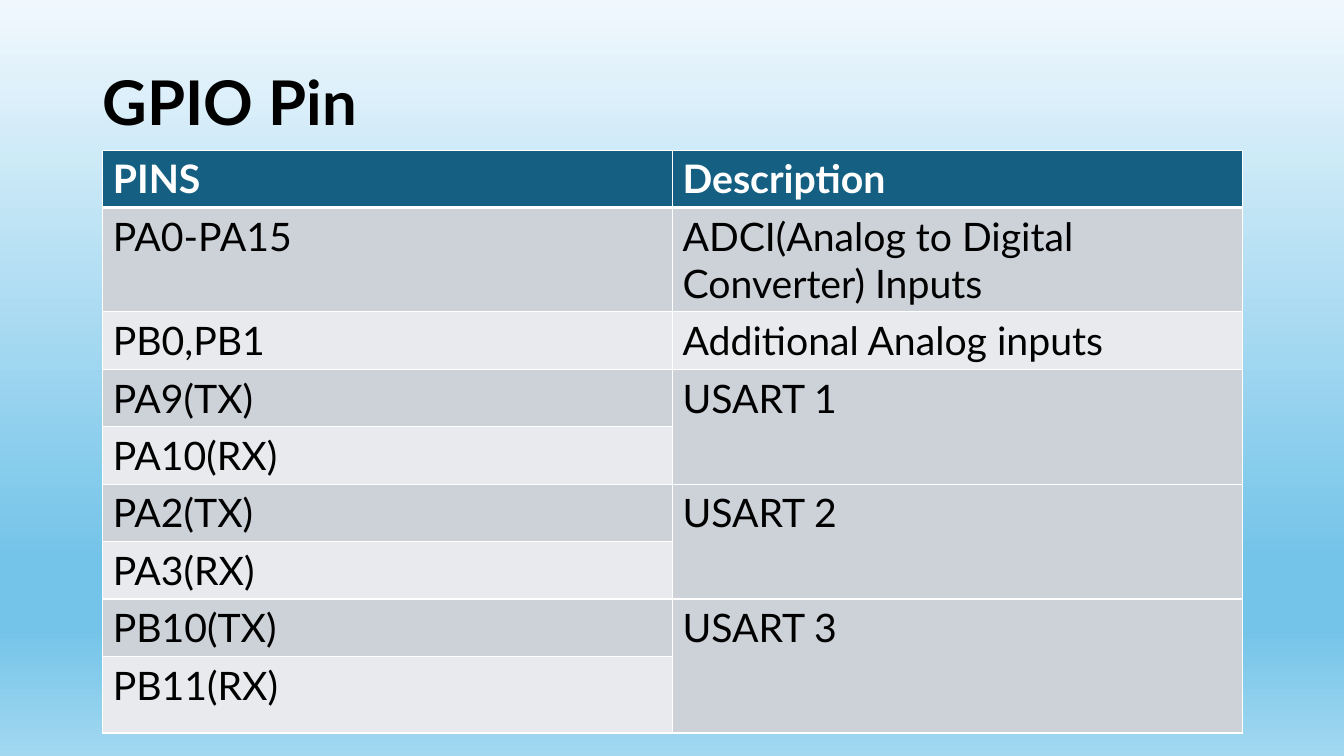
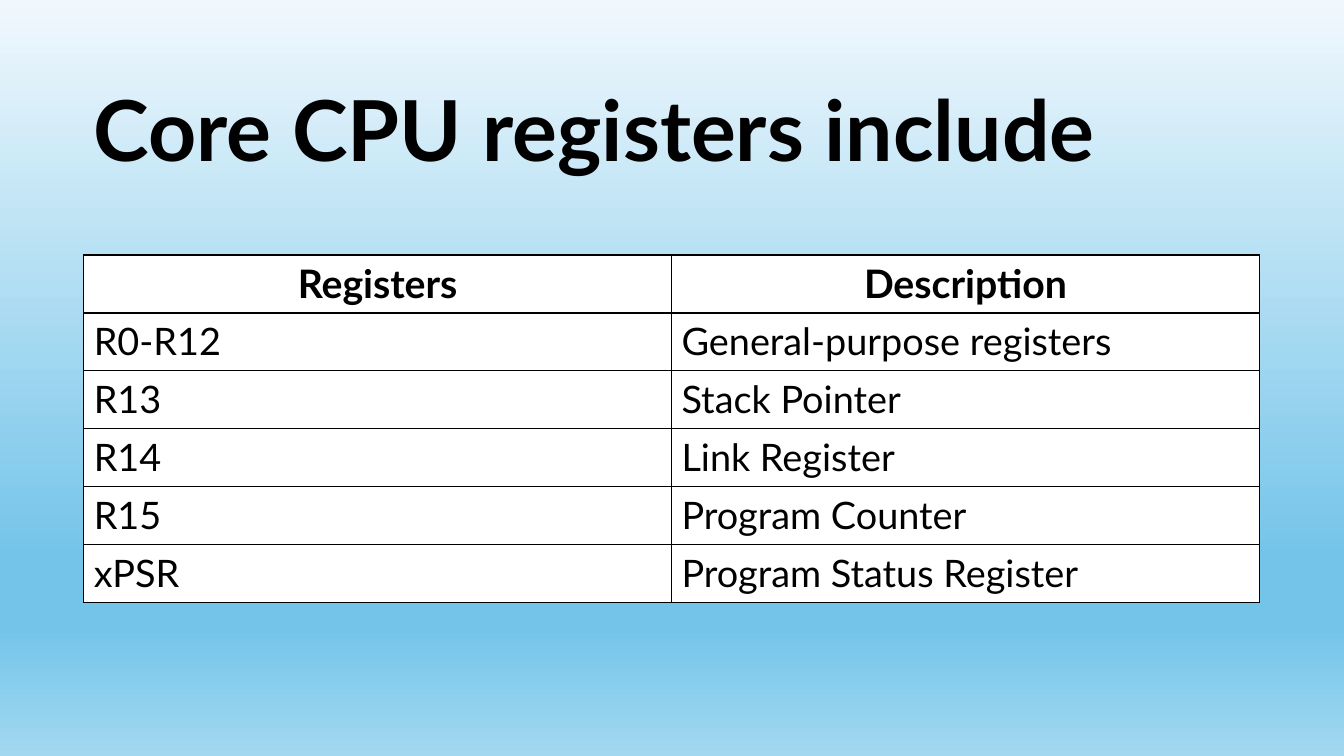
from dataclasses import dataclass
from typing import Optional

from lxml.etree import SubElement
from pptx import Presentation
from pptx.dml.color import RGBColor
from pptx.enum.text import MSO_ANCHOR, MSO_AUTO_SIZE, PP_ALIGN
from pptx.oxml.ns import qn
from pptx.util import Inches, Pt

FONT = "Lato"
BLACK, WHITE = "000000", "FFFFFF"
SKY_STOPS = ((0, "F0F8FD"), (74, "74C4E9"), (83, "74C4E9"), (100, "A2D8F0"))
EDGES = ("L", "R", "T", "B")


@dataclass(frozen=True)
class TableStyle:
    header_fill: str
    header_color: str
    header_align: PP_ALIGN
    row_fills: tuple[str, ...]
    body_size: float
    border: str
    header_rule: float = 1


@dataclass(frozen=True)
class TablePage:
    title: str
    title_size: float
    title_area: tuple[float, float, float, float]
    table_corner: tuple[float, float]
    column_width: float
    row_heights: tuple[float, ...]
    rows: tuple[tuple[str, Optional[str]], ...]  # None continues the cell above
    style: TableStyle


STRIPED = TableStyle("156082", WHITE, PP_ALIGN.LEFT, ("CCD2D8", "E8EAED"), 28, WHITE, 3)
GRID = TableStyle(WHITE, BLACK, PP_ALIGN.CENTER, (WHITE,), 27, BLACK)

PAGES = (
    TablePage(
        "GPIO Pin", 44, (0.92, 0.25, 11.5, 1.6),
        (1.02, 1.49), 5.65, (0.57, 1.02, *(0.57,) * 6, 0.76),
        (
            ("PINS", "Description"),
            ("PA0-PA15", "ADCI(Analog to Digital Converter) Inputs"),
            ("PB0,PB1", "Additional Analog inputs"),
            ("PA9(TX)", "USART 1"),
            ("PA10(RX)", None),
            ("PA2(TX)", "USART 2"),
            ("PA3(RX)", None),
            ("PB10(TX)", "USART 3"),
            ("PB11(RX)", None),
        ),
        STRIPED,
    ),
    TablePage(
        "Core CPU registers include", 60, (0.83, 0.42, 11.5, 1.82),
        (0.83, 2.53), 5.83, (3.45 / 6,) * 6,
        (
            ("Registers", "Description"),
            ("R0-R12", "General-purpose registers"),
            ("R13", "Stack Pointer"),
            ("R14", "Link Register"),
            ("R15", "Program Counter"),
            ("xPSR", "Program Status Register"),
        ),
        GRID,
    ),
)


def rgb(color: str) -> RGBColor:
    return RGBColor.from_string(color)


def add_color(parent, color: str) -> None:
    SubElement(parent, qn("a:srgbClr"), val=color)


def paint_background(master) -> None:
    """Give the master the vertical sky gradient that every slide inherits."""
    master.background.fill.solid()
    properties = master.element.find(".//" + qn("p:bgPr"))
    gradient = SubElement(properties, qn("a:gradFill"), rotWithShape="1")
    stops = SubElement(gradient, qn("a:gsLst"))
    for position, color in SKY_STOPS:
        add_color(SubElement(stops, qn("a:gs"), pos=str(position * 1000)), color)
    SubElement(gradient, qn("a:lin"), ang=str(90 * 60000), scaled="0")
    properties.replace(properties.find(qn("a:solidFill")), gradient)


def format_paragraph(paragraph, size: float, color: str, bold: bool, align: PP_ALIGN) -> None:
    paragraph.alignment = align
    for run in paragraph.runs:
        run.font.name = FONT
        run.font.size = Pt(size)
        run.font.bold = bold
        run.font.color.rgb = rgb(color)


def add_title(slide, page: TablePage) -> None:
    title = slide.shapes.title
    title.left, title.top, title.width, title.height = map(Inches, page.title_area)
    frame = title.text_frame
    frame.text = page.title
    frame.word_wrap = True
    frame.auto_size = MSO_AUTO_SIZE.NONE
    frame.vertical_anchor = MSO_ANCHOR.MIDDLE
    frame.paragraphs[0].line_spacing = 0.9
    format_paragraph(frame.paragraphs[0], page.title_size, BLACK, True, PP_ALIGN.LEFT)


def add_borders(cell, row: int, style: TableStyle) -> None:
    properties = cell._tc.get_or_add_tcPr()
    for edge in EDGES:
        under_header = (row, edge) in ((0, "B"), (1, "T"))
        width = Pt(style.header_rule if under_header else 1)
        line = SubElement(properties, qn(f"a:ln{edge}"), w=str(width))
        add_color(SubElement(line, qn("a:solidFill")), style.border)


def fill_cell(cell, row: int, text: Optional[str], style: TableStyle) -> None:
    is_header = row == 0
    add_borders(cell, row, style)
    cell.fill.solid()
    body_fill = style.row_fills[(row - 1) % len(style.row_fills)]
    cell.fill.fore_color.rgb = rgb(style.header_fill if is_header else body_fill)
    if text is None:
        return
    cell.text_frame.text = text
    paragraph = cell.text_frame.paragraphs[0]
    if is_header:
        format_paragraph(paragraph, 28, style.header_color, True, style.header_align)
    else:
        format_paragraph(paragraph, style.body_size, BLACK, False, PP_ALIGN.LEFT)


def add_page_table(slide, page: TablePage) -> None:
    column_count = len(page.rows[0])
    left, top = page.table_corner
    table = slide.shapes.add_table(
        len(page.rows), column_count, Inches(left), Inches(top),
        Inches(page.column_width * column_count), Inches(sum(page.row_heights)),
    ).table
    for column in table.columns:
        column.width = Inches(page.column_width)
    for row, (height, texts) in enumerate(zip(page.row_heights, page.rows)):
        table.rows[row].height = Inches(height)
        for column, text in enumerate(texts):
            cell = table.cell(row, column)
            fill_cell(cell, row, text, page.style)
            if text is None:
                table.cell(row - 1, column).merge(cell)


def main() -> None:
    deck = Presentation()
    deck.slide_width, deck.slide_height = Inches(13.33), Inches(7.5)
    paint_background(deck.slide_master)
    title_only = deck.slide_layouts.get_by_name("Title Only")
    for page in PAGES:
        slide = deck.slides.add_slide(title_only)
        add_title(slide, page)
        add_page_table(slide, page)
    deck.save("out.pptx")


if __name__ == "__main__":
    main()
